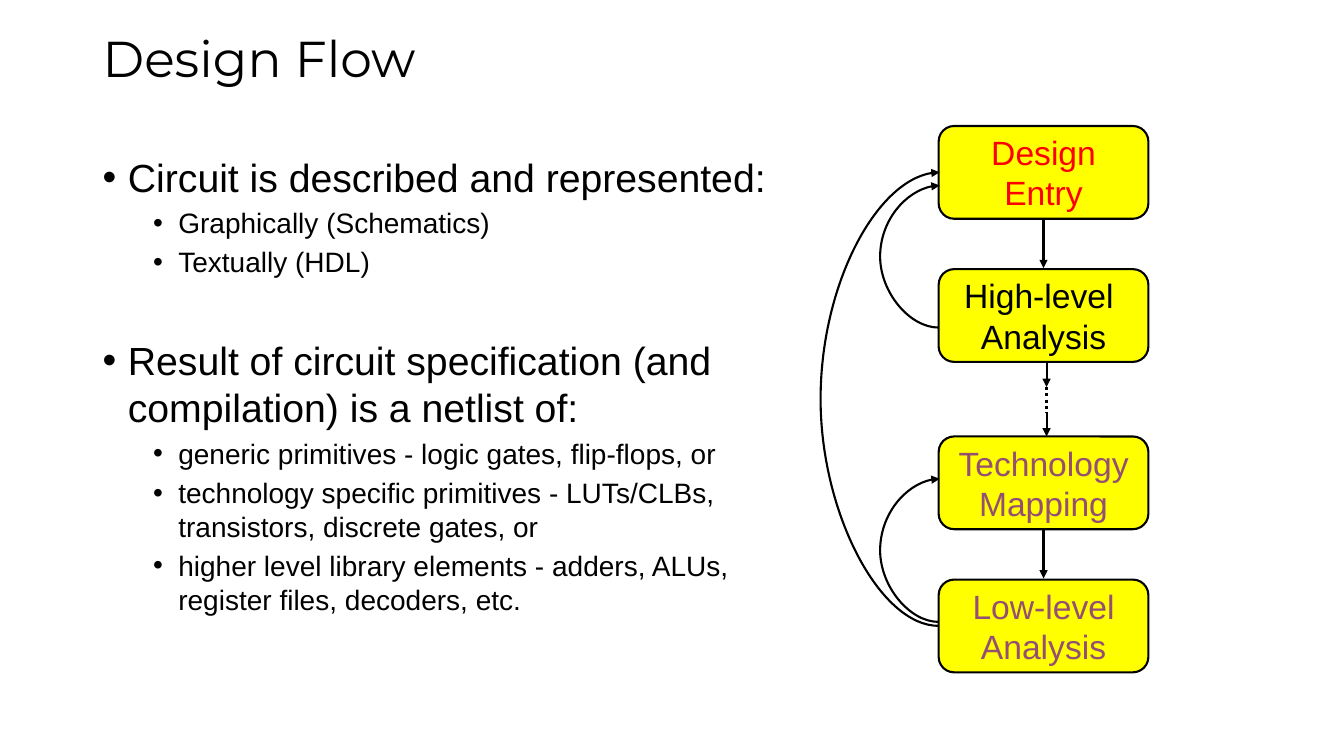
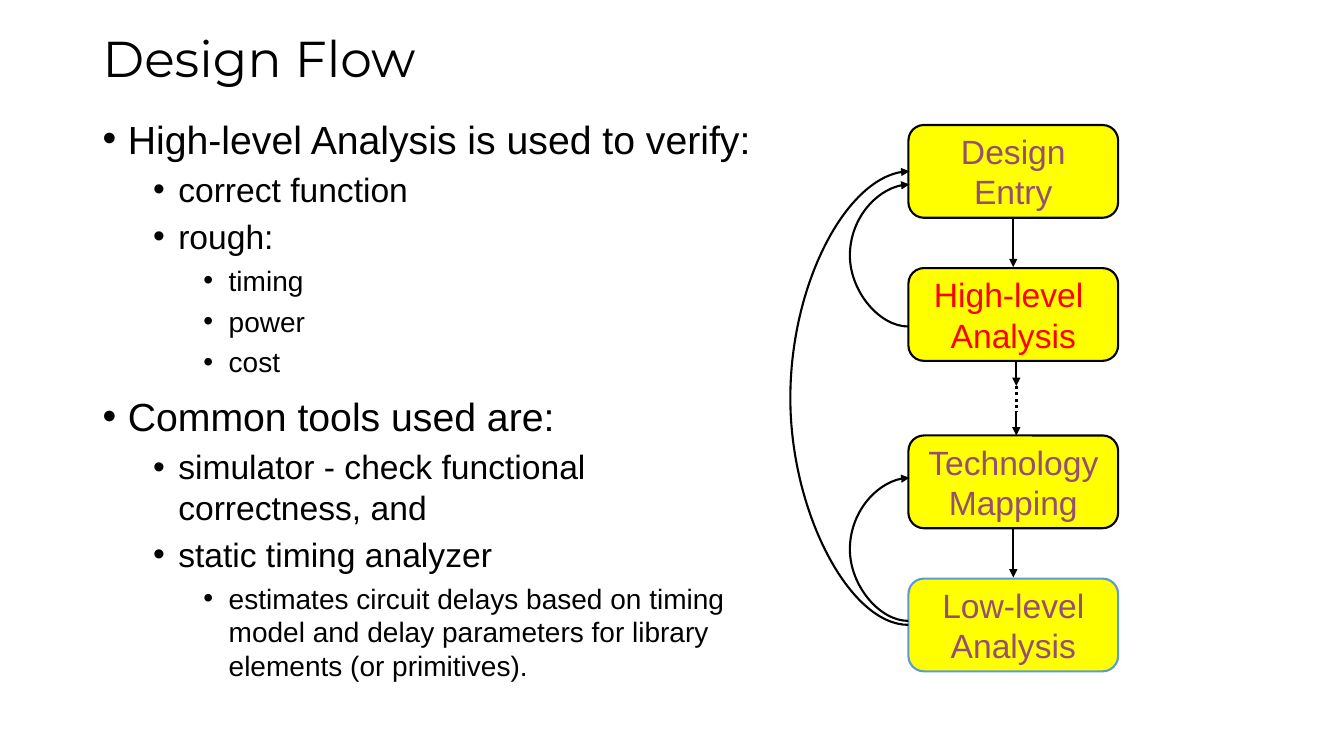
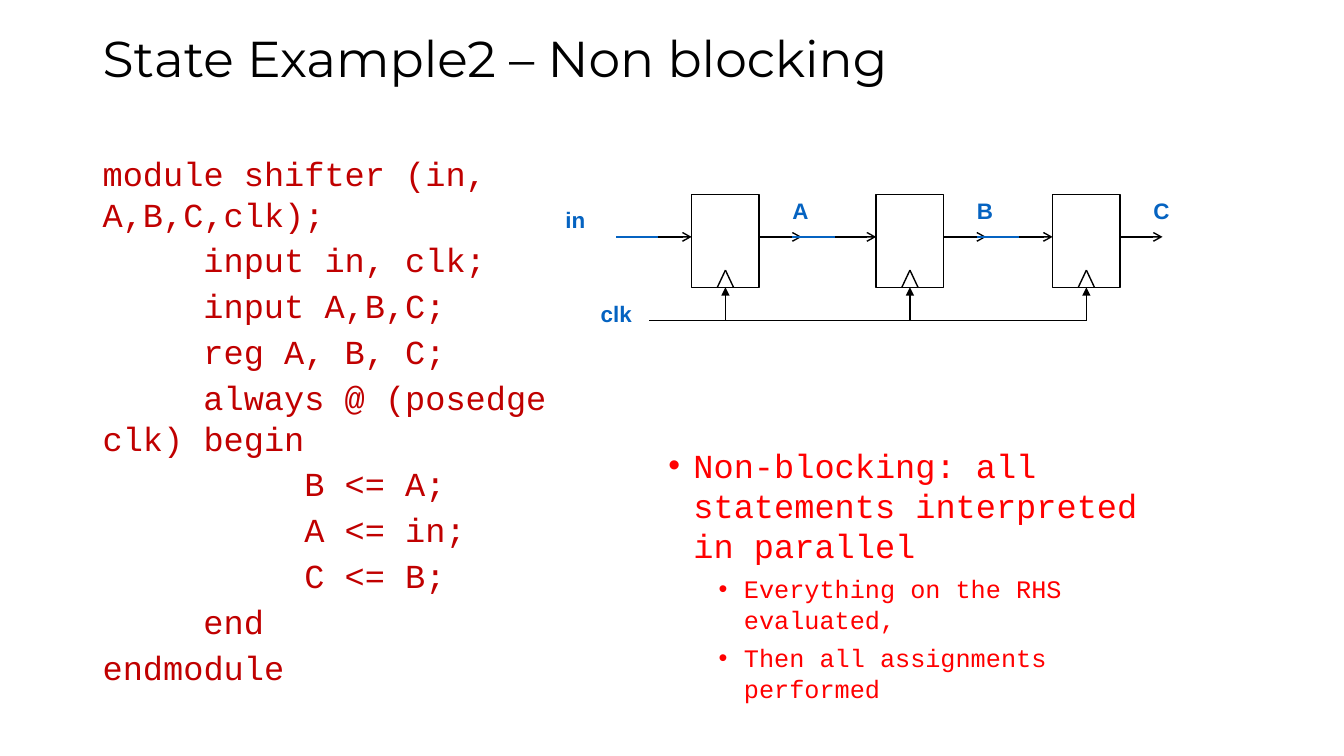
from pptx import Presentation
from pptx.dml.color import RGBColor
from pptx.enum.dml import MSO_LINE
from pptx.enum.shapes import MSO_CONNECTOR, MSO_SHAPE
from pptx.enum.text import MSO_ANCHOR, PP_ALIGN
from pptx.oxml.ns import qn
from pptx.util import Inches, Pt
from lxml.etree import SubElement

BLACK = RGBColor(0x00, 0x00, 0x00)
WHITE = RGBColor(0xFF, 0xFF, 0xFF)
YELLOW = RGBColor(0xFF, 0xFF, 0x00)
RED = RGBColor(0xFF, 0x00, 0x00)
DARK_RED = RGBColor(0xC0, 0x00, 0x00)
PURPLE = RGBColor(0x95, 0x4F, 0x72)
BLUE = RGBColor(0x05, 0x63, 0xC1)
LIGHT_BLUE = RGBColor(0x5B, 0x9B, 0xD5)
SANS, MONO, TITLE = "Arial", "Courier New", "Montserrat"

STEPS = [("Design\nEntry", 0), ("High-level \nAnalysis", 1.42),
         ("Technology\nMapping", 3.08), ("Low-level\nAnalysis", 4.5)]
STEP_W, STEP_H = 2.08, 0.92
REG_W, REG_H = 0.67, 0.92

SPECIFICATION = [
    (0, "Circuit is described and represented:", 0),
    (1, "Graphically (Schematics)", 4),
    (1, "Textually (HDL)", 4),
    (0, "Result of circuit specification (and compilation) is a netlist of:", 41.5),
    (1, "generic primitives - logic gates, flip-flops, or", 4),
    (1, "technology specific primitives - LUTs/CLBs, transistors, discrete gates, or", 4),
    (1, "higher level library elements - adders, ALUs, register files, decoders, etc.", 4),
]
ANALYSIS = [
    (0, "High-level Analysis is used to verify:", 0),
    (1, "correct function", 5),
    (1, "rough:", 5),
    (2, "timing", 5),
    (2, "power", 5),
    (2, "cost", 5),
    (0, "Common tools used are:", 10),
    (1, "simulator - check functional correctness, and", 5),
    (1, "static timing analyzer", 5),
    (2, "estimates circuit delays based on timing model and delay parameters "
        "for library elements (or primitives).", 5),
]
NON_BLOCKING = [
    (0, "Non-blocking: all statements interpreted in parallel", 0),
    (1, "Everything on the RHS evaluated,", 6),
    (1, "Then all assignments performed", 6),
]
SHIFTER = """module shifter (in, A,B,C,clk);
\tinput in, clk;
\tinput A,B,C;
\treg A, B, C;
\talways @ (posedge clk) begin
\t\tB <= A;
\t\tA <= in;
\t\tC <= B;
\tend
endmodule"""


def style(p, size, color, font=SANS, bold=False):
    """Format every run of a paragraph."""
    for r in p.runs:
        r.font.size, r.font.name, r.font.bold = Pt(size), font, bold
        r.font.color.rgb = color


def text_box(s, x, y, w, h, wrap=True):
    """Add an empty text box and return its text frame."""
    tf = s.shapes.add_textbox(Inches(x), Inches(y), Inches(w), Inches(h)).text_frame
    tf.word_wrap = wrap
    return tf


def title_slide(prs, title):
    """Add a blank slide with the shared title."""
    s = prs.slides.add_slide(prs.slide_layouts[6])
    tf = text_box(s, 0.92, 0.25, 11.5, 0.71)
    tf.vertical_anchor = MSO_ANCHOR.MIDDLE
    tf.text = title
    p = tf.paragraphs[0]
    p.line_spacing = 0.9
    style(p, 36, BLACK, TITLE)
    return s


def bullets(s, x, y, w, h, items, sizes, color=BLACK, font=SANS):
    """Write (level, text, space before) items as a bulleted list."""
    tf = text_box(s, x, y, w, h)
    for i, (level, text, before) in enumerate(items):
        p = tf.paragraphs[0] if i == 0 else tf.add_paragraph()
        p.text = text
        p.level = level
        p.space_before = Pt(before)
        pPr = p._p.get_or_add_pPr()
        pPr.set("marL", str(Inches(0.25 + 0.5 * level)))
        pPr.set("indent", str(Inches(-0.25)))
        SubElement(pPr, qn("a:buFont")).set("typeface", SANS)
        SubElement(pPr, qn("a:buChar")).set("char", "•")
        style(p, sizes[level], color, font)


def code(s, x, y, w, h, text):
    """Write a code listing, one paragraph a line, with tab stops each inch."""
    tf = text_box(s, x, y, w, h)
    tf.text = text
    for i, p in enumerate(tf.paragraphs):
        p.space_before = Pt(4 if i else 0)
        tabs = SubElement(p._p.get_or_add_pPr(), qn("a:tabLst"))
        for stop in (1, 2):
            tab = SubElement(tabs, qn("a:tab"))
            tab.set("pos", str(Inches(stop)))
            tab.set("algn", "l")
        style(p, 24, DARK_RED, MONO)


def line(s, x1, y1, x2, y2, width=1.0, color=BLACK, head=None,
         kind=MSO_CONNECTOR.STRAIGHT):
    """Draw a connector, with an arrowhead at its end if one is named."""
    c = s.shapes.add_connector(kind, Inches(x1), Inches(y1), Inches(x2), Inches(y2))
    c.line.width = Pt(width)
    c.line.color.rgb = color
    if head:
        SubElement(c.line._get_or_add_ln(), qn("a:tailEnd")).set("type", head)
    SubElement(c._element.spPr, qn("a:effectLst"))
    return c


def feedback(s, x, y1, y2, reach):
    """Draw a curved arrow that bulges left by reach on its way up."""
    c = line(s, x, y1, x + 0.01, y2, 1.5, head="triangle", kind=MSO_CONNECTOR.CURVE)
    gd = SubElement(c._element.spPr.find(qn("a:prstGeom")).get_or_add_avLst(), qn("a:gd"))
    gd.set("name", "adj1")
    gd.set("fmla", f"val {round(-reach / 0.01 * 100000)}")


def box(s, kind, x, y, w, h, fill, outline, width):
    """Add a filled, outlined shape."""
    sp = s.shapes.add_shape(kind, Inches(x), Inches(y), Inches(w), Inches(h))
    sp.shadow.inherit = False
    sp.fill.solid()
    sp.fill.fore_color.rgb = fill
    sp.line.color.rgb = outline
    sp.line.width = Pt(width)
    return sp


def flow(s, x, y, colors, last_outline=BLACK):
    """Draw the design flow with its first step at x, y."""
    outlines = [BLACK] * 3 + [last_outline]
    for (text, dy), color, outline in zip(STEPS, colors, outlines):
        sp = box(s, MSO_SHAPE.ROUNDED_RECTANGLE, x, y + dy, STEP_W, STEP_H,
                 YELLOW, outline, 1.5)
        tf = sp.text_frame
        tf.word_wrap = False
        tf.vertical_anchor = MSO_ANCHOR.MIDDLE
        tf.text = text
        for p in tf.paragraphs:
            p.alignment = PP_ALIGN.CENTER
            style(p, 24, color)
    for start, end, reach in [(4.92, 3.5, 0.59), (2, 0.59, 0.59), (4.96, 0.46, 1.19)]:
        feedback(s, x, y + start, y + end, reach)
    for dx, start, end in [(1.04, 0.93, 1.41), (1.04, 4.01, 4.49),
                           (1.07, 2.34, 2.59), (1.07, 2.84, 3.08)]:
        line(s, x + dx, y + start, x + dx, y + end, 1.5, head="triangle")
    dots = line(s, x + 1.07, y + 2.59, x + 1.07, y + 2.84, 2.25)
    dots.line.dash_style = MSO_LINE.ROUND_DOT


def label(s, x, y, w, text):
    """Write a signal name."""
    tf = text_box(s, x, y, w, 0.37, wrap=False)
    tf.text = text
    style(tf.paragraphs[0], 16, BLUE, bold=True)


def register(s, x, y, output):
    """Draw a clocked register with its input, output and clock arrows."""
    box(s, MSO_SHAPE.RECTANGLE, x, y, REG_W, REG_H, WHITE, BLACK, 1)
    mid, wire, bottom = x + REG_W / 2, y + 0.42, y + REG_H
    for side in (-0.08, 0.08):
        line(s, mid + side, bottom, mid, bottom - 0.17)
    for start in (x - 0.42, x + REG_W):
        line(s, start, wire, start + 0.42, wire, head="arrow")
    line(s, mid, y + 1.25, mid, bottom, head="triangle")
    label(s, x + 0.9, y - 0.02, 0.36, output)


def shift_register(s, x, y):
    """Draw the three-stage shift register, its first stage at x, y."""
    stages = [(x, "A"), (x + 1.83, "B"), (x + 3.58, "C")]
    for left, output in stages:
        register(s, left, y, output)
    line(s, x - 0.42, y + 1.25, stages[-1][0] + REG_W / 2, y + 1.25)
    for dx in (-0.75, 1, 2.83):
        line(s, x + dx, y + 0.42, x + dx + 0.42, y + 0.42, color=BLUE)
    label(s, x - 1, y + 1, 0.51, "clk")
    label(s, x - 1.35, y + 0.07, 0.4, "in")


def main():
    """Build and save the three slides."""
    prs = Presentation()
    prs.slide_width, prs.slide_height = Inches(13.33), Inches(7.5)

    s = title_slide(prs, "Design Flow")
    bullets(s, 0.92, 1.47, 6.85, 5.47, SPECIFICATION, (28, 20))
    flow(s, 9.31, 1.25, (RED, BLACK, PURPLE, PURPLE))

    s = title_slide(prs, "Design Flow")
    bullets(s, 0.92, 1.09, 6.63, 5.73, ANALYSIS, (28, 24, 20))
    flow(s, 9.01, 1.24, (PURPLE, RED, PURPLE, PURPLE), LIGHT_BLUE)

    s = title_slide(prs, "State Example2 – Non blocking")
    code(s, 0.92, 1.47, 5.17, 5.41, SHIFTER)
    shift_register(s, 6.86, 1.93)
    bullets(s, 6.53, 4.36, 5, 1.9, NON_BLOCKING, (24, 18), RED, MONO)

    prs.save("out.pptx")


if __name__ == "__main__":
    main()
